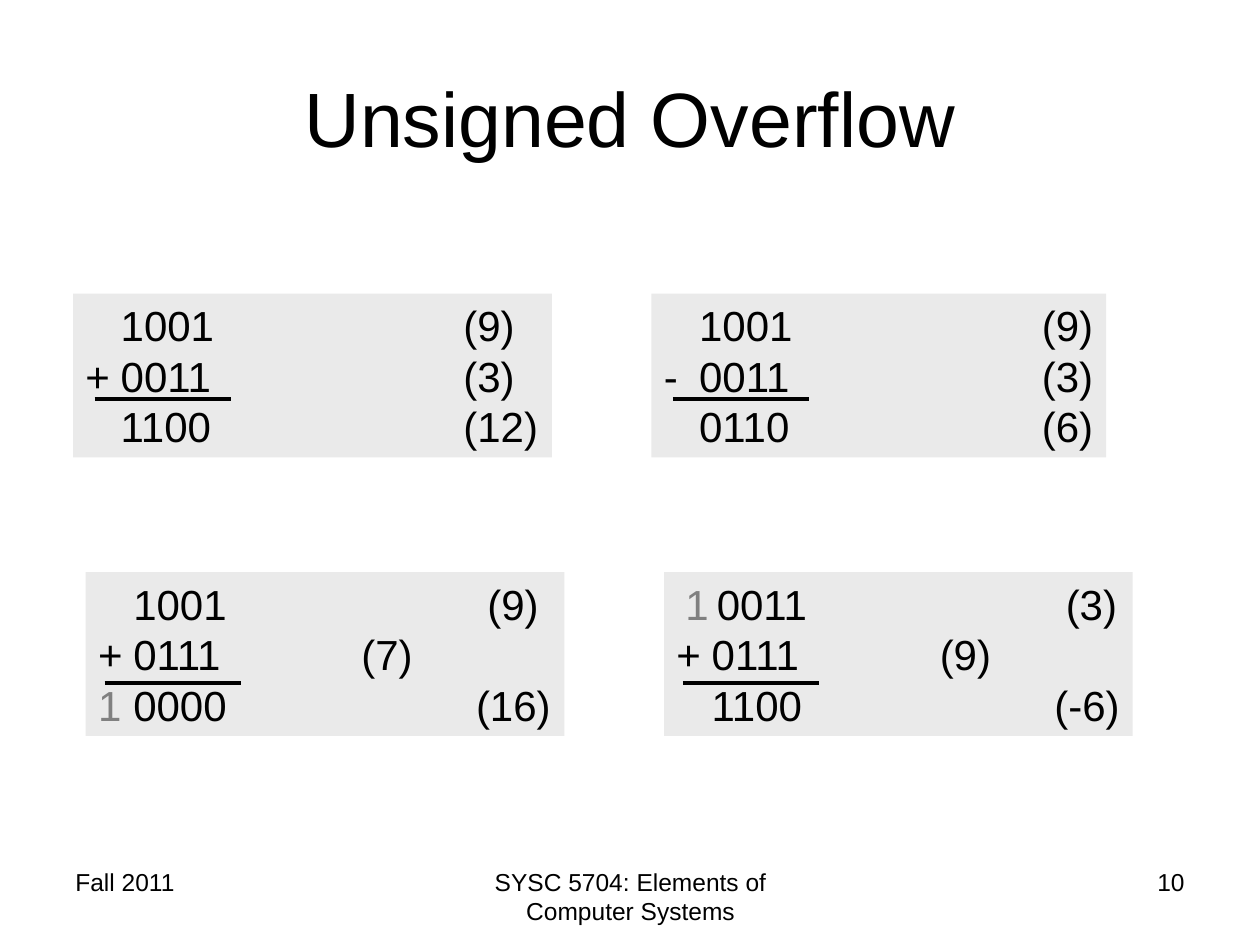
from dataclasses import dataclass

from lxml.etree import SubElement
from pptx import Presentation
from pptx.dml.color import RGBColor
from pptx.enum.shapes import MSO_CONNECTOR as Connector, MSO_SHAPE as Shape
from pptx.enum.text import MSO_ANCHOR as Anchor, PP_ALIGN as Align
from pptx.oxml.ns import qn
from pptx.util import Inches, Pt


@dataclass(frozen=True)
class Theme:
    font: str = "Arial"
    ink: RGBColor = RGBColor(0, 0, 0)
    carry: RGBColor = RGBColor(0x80, 0x80, 0x80)
    panel: RGBColor = RGBColor(0xEA, 0xEA, 0xEA)
    title_size: int = 44
    sum_size: int = 24
    footer_size: int = 14
    rule_width: float = 2.25


@dataclass(frozen=True)
class Cell:
    """A piece of a line, starting `at` inches from the line's left edge."""
    at: float
    text: str
    is_carry: bool = False


@dataclass(frozen=True)
class Band:
    """A row of panels; the rule is measured from a panel's corner."""
    left: float
    top: float
    rule_x: float
    rule_y: float


@dataclass(frozen=True)
class Sum:
    band: Band
    column: int
    width: float
    lines: tuple[tuple[Cell, ...], ...]


THEME = Theme()
COLUMN_STEP = 4.59
PANEL_HEIGHT = 1.3
RULE_LENGTH = 1.08
DIGITS, EARLY, VALUE, LATE = 0.28, 2.09, 3.0, 3.09

FITS = Band(0.58, 2.33, 0.17, 0.84)
OVERFLOWS = Band(0.68, 4.54, 0.15, 0.88)

SUMS = (
    Sum(FITS, 0, 3.8, (
        (Cell(DIGITS, "1001"), Cell(VALUE, "(9)")),
        (Cell(0, "+"), Cell(DIGITS, "0011"), Cell(VALUE, "(3)")),
        (Cell(DIGITS, "1100"), Cell(VALUE, "(12)")))),
    Sum(FITS, 1, 3.61, (
        (Cell(DIGITS, "1001"), Cell(VALUE, "(9)")),
        (Cell(0, "-"), Cell(DIGITS, "0011"), Cell(VALUE, "(3)")),
        (Cell(DIGITS, "0110"), Cell(VALUE, "(6)")))),
    Sum(OVERFLOWS, 0, 3.8, (
        (Cell(DIGITS, "1001"), Cell(LATE, "(9)")),
        (Cell(0, "+"), Cell(DIGITS, "0111"), Cell(EARLY, "(7)")),
        (Cell(0, "1", True), Cell(DIGITS, "0000"), Cell(VALUE, "(16)")))),
    Sum(OVERFLOWS, 1, 3.72, (
        (Cell(0.07, "1", True), Cell(0.32, "0011"), Cell(LATE, "(3)")),
        (Cell(0, "+"), Cell(DIGITS, "0111"), Cell(EARLY, "(9)")),
        (Cell(DIGITS, "1100"), Cell(VALUE, "(-6)")))),
)

FOOTERS = (
    (0.5, 2.33, "Fall 2011", Align.LEFT),
    (3.42, 3.17, "SYSC 5704: Elements of Computer Systems", Align.CENTER),
    (7.17, 2.33, "10", Align.RIGHT),
)


def style(paragraph, size: int, align: Align) -> None:
    paragraph.alignment = align
    paragraph.font.name = THEME.font
    paragraph.font.size = Pt(size)
    paragraph.font.color.rgb = THEME.ink


def write_line(paragraph, cells: tuple[Cell, ...]) -> None:
    """Set each cell on its own tab stop."""
    stops = SubElement(paragraph._p.get_or_add_pPr(), qn("a:tabLst"))
    for cell in cells:
        if cell.at:
            SubElement(stops, qn("a:tab"), pos=str(Inches(cell.at)), algn="l")
        run = paragraph.add_run()
        run.text = f"\t{cell.text}" if cell.at else cell.text
        if cell.is_carry:
            run.font.color.rgb = THEME.carry
    style(paragraph, THEME.sum_size, Align.LEFT)


def add_panel(slide, item: Sum, left: float) -> None:
    panel = slide.shapes.add_shape(
        Shape.RECTANGLE, Inches(left), Inches(item.band.top),
        Inches(item.width), Inches(PANEL_HEIGHT))
    panel.shadow.inherit = False
    panel.fill.solid()
    panel.fill.fore_color.rgb = THEME.panel
    panel.line.fill.background()
    frame = panel.text_frame
    frame.word_wrap = True
    frame.margin_right = 0
    frame.vertical_anchor = Anchor.TOP
    for index, cells in enumerate(item.lines):
        write_line(frame.add_paragraph() if index else frame.paragraphs[0], cells)


def add_rule(slide, left: float, top: float) -> None:
    rule = slide.shapes.add_connector(
        Connector.STRAIGHT, Inches(left), Inches(top),
        Inches(left + RULE_LENGTH), Inches(top))
    rule.line.color.rgb = THEME.ink
    rule.line.width = Pt(THEME.rule_width)
    SubElement(rule._element.spPr, qn("a:effectLst"))


def add_sum(slide, item: Sum) -> None:
    left = item.band.left + item.column * COLUMN_STEP
    add_panel(slide, item, left)
    add_rule(slide, left + item.band.rule_x, item.band.top + item.band.rule_y)


def add_footer(slide, left: float, width: float, text: str, align: Align) -> None:
    frame = slide.shapes.add_textbox(
        Inches(left), Inches(6.83), Inches(width), Inches(0.52)).text_frame
    frame.word_wrap = True
    frame.text = text
    style(frame.paragraphs[0], THEME.footer_size, align)


def set_title(slide, text: str) -> None:
    title = slide.shapes.title
    title.left, title.top = Inches(0.5), Inches(0.3)
    title.width, title.height = Inches(9), Inches(1.25)
    title.text_frame.text = text
    title.text_frame.vertical_anchor = Anchor.MIDDLE
    style(title.text_frame.paragraphs[0], THEME.title_size, Align.CENTER)


def main() -> None:
    deck = Presentation()
    deck.slide_width, deck.slide_height = Inches(10), Inches(7.5)
    slide = deck.slides.add_slide(deck.slide_layouts.get_by_name("Title Only"))
    set_title(slide, "Unsigned Overflow")
    for footer in FOOTERS:
        add_footer(slide, *footer)
    for item in SUMS:
        add_sum(slide, item)
    deck.save("out.pptx")


if __name__ == "__main__":
    main()
